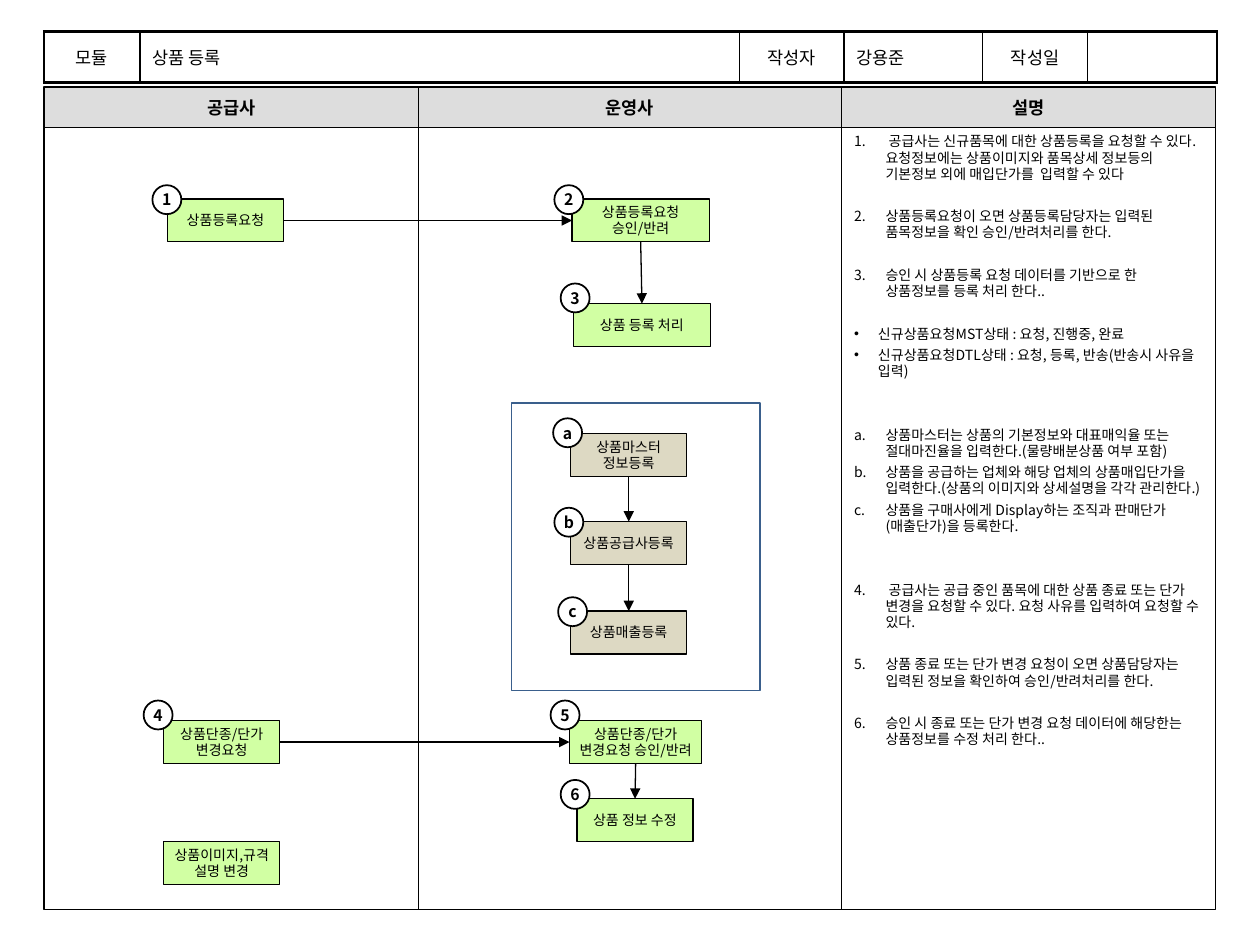
from pptx import Presentation
from pptx.util import Inches, Pt
from pptx.dml.color import RGBColor as RGB
from pptx.enum.shapes import MSO_SHAPE as Geo, MSO_CONNECTOR as Link
from pptx.enum.text import PP_ALIGN as Align, MSO_ANCHOR as Anchor
from pptx.oxml.ns import qn
from lxml.etree import SubElement as Sub

FONT = "Noto Sans CJK KR"
HUE = {"ink": "000000", "head": "DDDDDD", "green": "D1FFA3",
       "tan": "DDD9C3", "frame": "3A5F8C", "white": "FFFFFF"}

deck = Presentation()
deck.slide_width, deck.slide_height = Inches(10), Inches(7.5)
slide = deck.slides.add_slide(deck.slide_layouts[6])


def write(para, text, size=8, bold=False, align=Align.CENTER, lead=None, gap=0):
    para.text = text
    para.alignment = align
    para.space_before = Pt(gap)
    if lead:
        para.line_spacing = Pt(lead)
    for run in para.runs:
        font = run.font
        font.name, font.size, font.bold = FONT, Pt(size), bold
        font.color.rgb = RGB.from_string(HUE["ink"])
        Sub(font._element, qn("a:ea"), typeface=FONT)


def draw(geo, left, top, wide, high, fill=None, line="ink", weight=0.75, text="", **style):
    shape = slide.shapes.add_shape(geo, Inches(left), Inches(top), Inches(wide), Inches(high))
    shape.shadow.inherit = False
    if fill:
        shape.fill.solid()
        shape.fill.fore_color.rgb = RGB.from_string(HUE[fill])
    else:
        shape.fill.background()
    shape.line.color.rgb = RGB.from_string(HUE[line])
    shape.line.width = Pt(weight)
    frame = shape.text_frame
    frame.word_wrap = False
    frame.vertical_anchor = Anchor.MIDDLE
    frame.margin_left = frame.margin_right = frame.margin_top = frame.margin_bottom = 0
    if text:
        for i, part in enumerate(text.split("\n")):
            write(frame.add_paragraph() if i else frame.paragraphs[0], part, **style)
    return shape


# Title table
cells = ["모듈", "상품 등록", "작성자", "강용준", "작성일", ""]
cols = [0.76, 4.76, 0.83, 1.1, 0.83, 1.03]
table = slide.shapes.add_table(1, len(cols), Inches(0.35), Inches(0.25),
                               Inches(sum(cols)), Inches(0.31)).table
table.first_row = table.horz_banding = False
table.rows[0].height = Inches(0.31)
last = len(cols) - 1
for i, (text, wide) in enumerate(zip(cells, cols)):
    table.columns[i].width = Inches(wide)
    cell = table.cell(0, i)
    cell.vertical_anchor = Anchor.MIDDLE
    write(cell.text_frame.paragraphs[0], text, size=10,
          align=Align.LEFT if i in (1, 3) else Align.CENTER)
    props = cell._tc.get_or_add_tcPr()
    for side, outer in (("L", i == 0), ("R", i == last), ("T", True), ("B", True)):
        edge = Sub(props, qn("a:ln" + side), w=str(Pt(1.5 if outer else 1)))
        Sub(Sub(edge, qn("a:solidFill")), qn("a:srgbClr"), val=HUE["ink"])
    cell.fill.background()

# Lanes
left = 0.35
for name, wide in (("공급사", 2.97), ("운영사", 3.36), ("설명", 2.97)):
    lane = draw(Geo.RECTANGLE, left, 1.01, wide, 6.21)
    draw(Geo.RECTANGLE, left, 0.69, wide, 0.32, "head", text=name, size=10, bold=True)
    left += wide

# Notes in the last lane: bullet kind, first number, blank lines above, text
NUM, ABC, DOT = "arabicPeriod", "alphaLcPeriod", None
notes = [
    (NUM, 1, 0, " 공급사는 신규품목에 대한 상품등록을 요청할 수 있다. 요청정보에는 상품이미지와 품목상세 정보등의 기본정보 외에 매입단가를  입력할 수 있다"),
    (NUM, 1, 1, "상품등록요청이 오면 상품등록담당자는 입력된 품목정보을 확인 승인/반려처리를 한다."),
    (NUM, 1, 1, "승인 시 상품등록 요청 데이터를 기반으로 한 상품정보를 등록 처리 한다.."),
    (DOT, 1, 1, "신규상품요청MST상태 : 요청, 진행중, 완료"),
    (DOT, 1, 0, "신규상품요청DTL상태 : 요청, 등록, 반송(반송시 사유을 입력)"),
    (ABC, 1, 2, "상품마스터는 상품의 기본정보와 대표매익율 또는 절대마진율을 입력한다.(물량배분상품 여부 포함)"),
    (ABC, 1, 0, "상품을 공급하는 업체와 해당 업체의 상품매입단가을 입력한다.(상품의 이미지와 상세설명을 각각 관리한다.)"),
    (ABC, 1, 0, "상품을 구매사에게 Display하는 조직과 판매단가(매출단가)을 등록한다."),
    (NUM, 4, 2, " 공급사는 공급 중인 품목에 대한 상품 종료 또는 단가 변경을 요청할 수 있다. 요청 사유를 입력하여 요청할 수 있다."),
    (NUM, 4, 1, "상품 종료 또는 단가 변경 요청이 오면 상품담당자는 입력된 정보을 확인하여 승인/반려처리를 한다."),
    (NUM, 4, 1, "승인 시 종료 또는 단가 변경 요청 데이터에 해당한는 상품정보를 수정 처리 한다.."),
]
LEAD, GAP = 9.25, 2.9
frame = lane.text_frame
frame.word_wrap = True
frame.vertical_anchor = Anchor.TOP
frame.margin_left = frame.margin_right = Inches(0.1)
frame.margin_top = frame.margin_bottom = Inches(0.05)
for i, (kind, start, blank, text) in enumerate(notes):
    para = frame.add_paragraph() if i else frame.paragraphs[0]
    write(para, text, align=Align.LEFT, lead=LEAD, gap=GAP + blank * (LEAD + GAP))
    props = para._p.get_or_add_pPr()
    dent = Inches(0.25 if kind else 0.19)
    props.set("marL", str(dent))
    props.set("indent", str(-dent))
    if kind:
        Sub(props, qn("a:buFont"), typeface=FONT)
        mark = Sub(props, qn("a:buAutoNum"), type=kind)
        if start > 1:
            mark.set("startAt", str(start))
    else:
        Sub(props, qn("a:buFont"), typeface="Arial")
        Sub(props, qn("a:buChar"), char="•")

# Frame around the master data steps
draw(Geo.RECTANGLE, 4.06, 3.2, 1.97, 2.28, line="frame", weight=1)

# Steps: key, left, top, width, fill, text
steps = [
    ("1", 1.33, 1.58, 0.92, "green", "상품등록요청"),
    ("2", 4.54, 1.58, 1.09, "green", "상품등록요청\v승인/반려"),
    ("3", 4.55, 2.41, 1.09, "green", "상품 등록 처리"),
    ("a", 4.53, 3.44, 0.92, "tan", "상품마스터\n정보등록"),
    ("b", 4.53, 4.14, 0.92, "tan", "상품공급사등록"),
    ("c", 4.53, 4.85, 0.92, "tan", "상품매출등록"),
    ("4", 1.3, 5.72, 0.92, "green", "상품단종/단가\v변경요청"),
    ("5", 4.52, 5.72, 1.05, "green", "상품단종/단가\v변경요청 승인/반려"),
    ("6", 4.58, 6.34, 0.92, "green", "상품 정보 수정"),
    ("edit", 1.3, 6.68, 0.92, "green", "상품이미지,규격\v설명 변경"),
]
boxes = {key: draw(Geo.RECTANGLE, x, y, wide, 0.34, fill, text=text, lead=LEAD)
         for key, x, y, wide, fill, text in steps}

# Arrows between steps, by connection site: 0 top, 1 left, 2 bottom, 3 right
TOP, LEFT, BASE, RIGHT = range(4)
for pair in ("12", "23", "ab", "bc", "45", "56"):
    out, into = (RIGHT, LEFT) if pair in ("12", "45") else (BASE, TOP)
    arrow = slide.shapes.add_connector(Link.STRAIGHT, 0, 0, 0, 0)
    arrow.begin_connect(boxes[pair[0]], out)
    arrow.end_connect(boxes[pair[1]], into)
    arrow.line.color.rgb = RGB.from_string(HUE["ink"])
    arrow.line.width = Pt(0.75)
    Sub(arrow.line._get_or_add_ln(), qn("a:tailEnd"), type="triangle")
    Sub(arrow._element.spPr, qn("a:effectLst"))

# Step badges
badges = {"1": (1.21, 1.47), "2": (4.4, 1.47), "3": (4.45, 2.25),
          "a": (4.39, 3.32), "b": (4.4, 4.03), "c": (4.43, 4.74),
          "4": (1.14, 5.56), "5": (4.37, 5.56), "6": (4.45, 6.19)}
for key, (x, y) in badges.items():
    draw(Geo.OVAL, x, y, 0.23, 0.23, "white", weight=1, text=key, size=9, bold=True)

deck.save("out.pptx")
